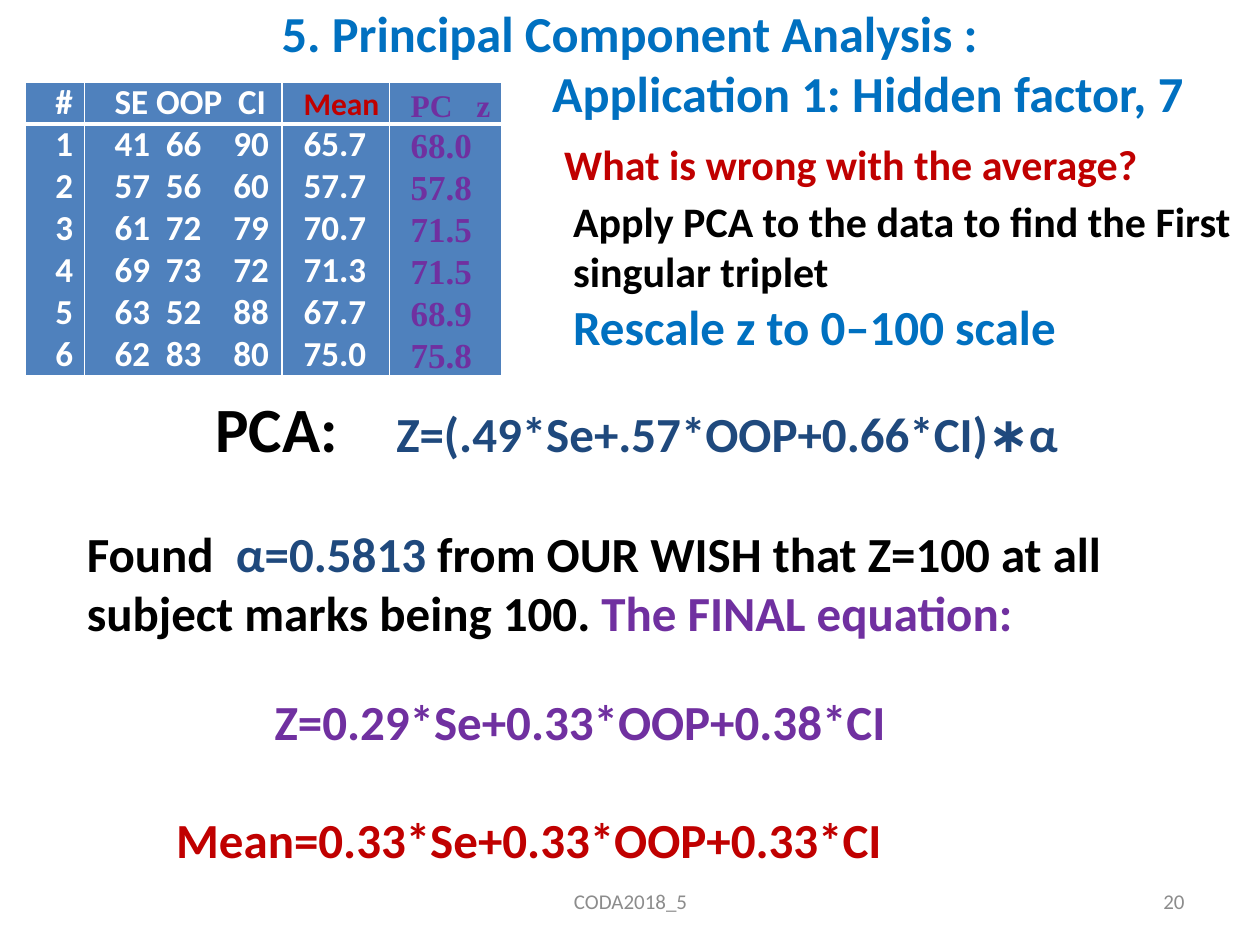
from lxml.etree import SubElement
from pptx import Presentation
from pptx.dml.color import RGBColor
from pptx.enum.text import MSO_ANCHOR, MSO_AUTO_SIZE, PP_ALIGN
from pptx.oxml.ns import qn
from pptx.util import Inches, Pt

BLUE = RGBColor(0x00, 0x70, 0xC0)
NAVY = RGBColor(0x1F, 0x49, 0x7D)
RED = RGBColor(0xC0, 0x00, 0x00)
PURPLE = RGBColor(0x70, 0x30, 0xA0)
BLACK = RGBColor(0, 0, 0)
WHITE = RGBColor(0xFF, 0xFF, 0xFF)
GREY = RGBColor(0x8C, 0x8C, 0x8C)
CELL_BLUE = RGBColor(0x4F, 0x81, 0xBD)
SANS, SERIF = "Calibri", "Times New Roman"

# Content: a paragraph is (runs, layout); a run is (text, size, colour[, tracking])
TITLE = [
    ([("5. Principal Component Analysis :", 28.8, BLUE)], {"align": PP_ALIGN.CENTER}),
    ([("Application 1: Hidden factor, 7", 28.8, BLUE)],
     {"align": PP_ALIGN.CENTER, "margin": 3.78}),
]
QUESTION = [([("What is wrong with the average?", 24, RED)], {"margin": 0.07})]
METHOD = [
    ([("Apply PCA to the data to find the First singular triplet", 24, BLACK)], {}),
    ([("Rescale z to 0–100 scale", 28, BLUE)], {}),
]
EQUATIONS = [
    ([("PCA:", 36, BLACK), (" ", 36, BLACK, 25.3),
      ("Z=(.49*Se+.57*OOP+0.66*CI)∗α", 28, NAVY)], {"indent": 1.02}),
    ([("Found  ", 28, BLACK), ("α=0.5813", 28, NAVY),
      (" from OUR WISH that Z=100 at all subject marks being 100. ", 28, BLACK),
      ("The FINAL equation:", 28, PURPLE)], {"before": 33.5}),
    ([("Z=0.29*Se+0.33*OOP+0.38*CI", 28, PURPLE)], {"before": 29, "indent": 1.49}),
    ([("Mean=0.33*Se+0.33*OOP+0.33*CI", 28, RED)], {"before": 33.5, "indent": 0.71}),
]
FOOTER = [([("CODA2018_5", 12, GREY)], {"align": PP_ALIGN.CENTER})]
PAGE = [([("20", 12, GREY)], {"align": PP_ALIGN.RIGHT})]

MARKS = [(41, 66, 90), (57, 56, 60), (61, 72, 79),
         (69, 73, 72), (63, 52, 88), (62, 83, 80)]
HIDDEN_FACTOR = ["68.0", "57.8", "71.5", "71.5", "68.9", "75.8"]
# Each line is a list of words; gaps are the extra points between them
COLUMNS = [
    {"width": 0.47, "inset": 0.07, "head": ["#"], "head_size": 20, "head_color": WHITE,
     "color": WHITE, "lines": [[str(n)] for n in range(1, len(MARKS) + 1)]},
    {"width": 1.57, "inset": 0.07, "head": ["SE", "OOP", "CI"], "head_size": 20,
     "head_color": WHITE, "head_gaps": [0, 4.5], "color": WHITE,
     "lines": [[str(mark) for mark in row] for row in MARKS], "gaps": [4.5, 13.6]},
    {"width": 0.85, "inset": 0, "head": ["Mean"], "head_size": 18, "head_color": RED,
     "color": WHITE, "lines": [[f"{sum(row) / 3:.1f}"] for row in MARKS]},
    {"width": 0.89, "inset": 0, "head": ["PC", "z"], "head_size": 18,
     "head_color": PURPLE, "head_gaps": [9], "color": PURPLE,
     "lines": [[value] for value in HIDDEN_FACTOR], "font": SERIF},
]
TABLE_LEFT, TABLE_TOP = 0.2, 0.65
LINE_PT = 24
CELL_LAYOUT = {"align": PP_ALIGN.JUSTIFY, "line": LINE_PT, "indent": 0.17}


def write(frame, paragraphs, font=SANS, bold=True):
    for i, (runs, layout) in enumerate(paragraphs):
        para = frame.paragraphs[0] if i == 0 else frame.add_paragraph()
        para.alignment = layout.get("align", PP_ALIGN.LEFT)
        para.space_before = Pt(layout.get("before", 0))
        if "line" in layout:
            para.line_spacing = Pt(layout["line"])
        props = para._p.get_or_add_pPr()
        props.set("marL", str(Inches(layout.get("margin", 0))))
        props.set("indent", str(Inches(layout.get("indent", 0))))
        for text, size, color, *tracking in runs:
            run = para.add_run()
            run.text = text
            for key, value in {"size": Pt(size), "name": font, "bold": bold}.items():
                setattr(run.font, key, value)
            run.font.color.rgb = color
            for points in tracking:
                run._r.get_or_add_rPr().set("spc", str(round(points * 100)))


def spaced_words(words, gaps, size, color):
    runs = [(words[0], size, color)]
    for gap, word in zip(gaps, words[1:]):
        runs += [(" ", size, color, gap), (word, size, color)]
    return runs


def format_frame(frame, anchor):
    for key, value in {"word_wrap": True, "auto_size": MSO_AUTO_SIZE.NONE,
                       "vertical_anchor": anchor}.items():
        setattr(frame, key, value)


def add_text(slide, box, paragraphs, anchor=MSO_ANCHOR.TOP, bold=True):
    frame = slide.shapes.add_textbox(*map(Inches, box)).text_frame
    format_frame(frame, anchor)
    write(frame, paragraphs, bold=bold)


def style_cell(cell, inset, rule_side):
    for key, value in {"margin_left": Inches(inset), "margin_right": Inches(inset),
                       "margin_top": 0, "margin_bottom": 0}.items():
        setattr(cell, key, value)
    props = cell._tc.get_or_add_tcPr()
    for side in ("lnL", "lnR", "lnT", "lnB"):
        border = SubElement(props, qn(f"a:{side}"),
                            w=str(Pt(3 if side == rule_side else 1)))
        SubElement(SubElement(border, qn("a:solidFill")), qn("a:srgbClr"), val=str(WHITE))
    cell.fill.solid()
    cell.fill.fore_color.rgb = CELL_BLUE


def add_marks_table(slide):
    heights = [LINE_PT / 72, LINE_PT / 72 * len(MARKS)]
    width = sum(column["width"] for column in COLUMNS)
    table = slide.shapes.add_table(
        2, len(COLUMNS), *map(Inches, (TABLE_LEFT, TABLE_TOP, width, sum(heights)))).table
    for row, height in zip(table.rows, heights):
        row.height = Inches(height)
    for c, column in enumerate(COLUMNS):
        table.columns[c].width = Inches(column["width"])
        head = [(spaced_words(column["head"], column.get("head_gaps", []),
                              column["head_size"], column["head_color"]), CELL_LAYOUT)]
        body = [(spaced_words(line, column.get("gaps", []), 20, column["color"]),
                 CELL_LAYOUT) for line in column["lines"]]
        for r, (paragraphs, rule_side) in enumerate([(head, "lnB"), (body, "lnT")]):
            cell = table.cell(r, c)
            style_cell(cell, column["inset"], rule_side)
            write(cell.text_frame, paragraphs, font=column.get("font", SANS))


def main():
    prs = Presentation()
    prs.slide_width, prs.slide_height = Inches(10), Inches(7.5)
    slide = prs.slides.add_slide(prs.slide_layouts[5])

    # Title
    title = slide.shapes.title
    title.left, title.top, title.width, title.height = map(Inches, (0, 0, 10, 0.99))
    format_frame(title.text_frame, MSO_ANCHOR.MIDDLE)
    write(title.text_frame, TITLE)

    # Table of marks, with the comments beside it
    add_text(slide, (4.45, 1.5, 5.55, 1.38), METHOD)
    add_marks_table(slide)
    add_text(slide, (4.31, 1.05, 5.1, 0.5), QUESTION)

    # Equations
    add_text(slide, (0.59, 3.04, 8.92, 4.46), EQUATIONS)

    # Footer and page number
    add_text(slide, (3.42, 6.95, 3.17, 0.4), FOOTER, MSO_ANCHOR.MIDDLE, bold=False)
    add_text(slide, (7.17, 6.95, 2.33, 0.4), PAGE, MSO_ANCHOR.MIDDLE, bold=False)

    prs.save("out.pptx")


if __name__ == "__main__":
    main()
